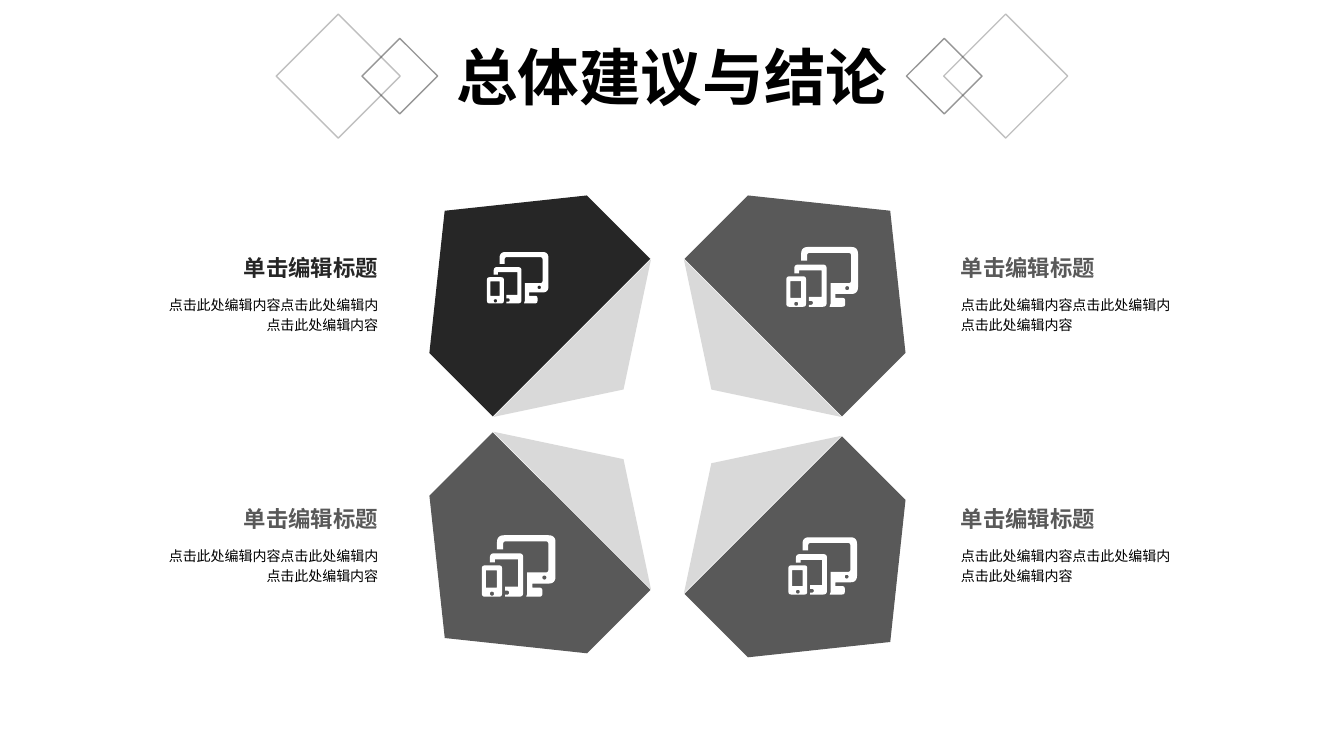
import pptx
import pptx.util
from lxml import etree
from pptx.dml.color import RGBColor
from pptx.enum.shapes import MSO_SHAPE
from pptx.enum.text import MSO_ANCHOR, PP_ALIGN
from pptx.oxml.ns import qn
from pptx.util import Inches

COLORS = {"black": "000000", "dark": "262626", "gray": "595959",
          "light": "D9D9D9", "white": "FFFFFF", "outline": "1C1C1C"}
CJK_FONT = "Noto Sans CJK SC"
HEADING = "单击编辑标题"
BODY = "点击此处编辑内容点击此处编辑内\n点击此处编辑内容"

# Device icon: closed outlines of (x, y, corner radius) in hundredths of an inch
ICON_WIDTH = 73
ICON_OUTLINES = [
    [(8, 56, 2), (12, 56, 2), (12, 60, 2), (8, 60, 2)],
    [(60, 40, 2), (64, 40, 2), (64, 44, 2), (60, 44, 2)],
    [(4, 35, 0), (15, 35, 0), (15, 52, 0), (4, 52, 0)],
    [(0, 30, 3), (20, 30, 3), (20, 61, 3), (0, 61, 3)],
    [(8, 18, 4), (41, 18, 4), (41, 61, 4), (23, 61, 0), (23, 59, 0), (27, 59, 2),
     (27, 55, 2), (23, 55, 0), (23, 51, 0), (36, 51, 0), (36, 24, 0), (13, 24, 0),
     (13, 27, 0), (8, 27, 0)],
    [(15, 0, 7), (73, 0, 7), (73, 48, 7), (50, 48, 0), (50, 52, 0), (60, 52, 3),
     (60, 61, 3), (44, 61, 0), (45, 58, 0), (45, 37, 0), (66, 37, 3), (66, 6, 3),
     (21, 6, 3), (21, 14, 0), (15, 14, 0)],
]


def color(name):
    return RGBColor.from_string(COLORS[name])


def paint(shape, fill):
    shape.shadow.inherit = False
    shape.fill.solid()
    shape.fill.fore_color.rgb = color(fill)
    shape.line.fill.background()


def add_centred(page, kind, center_x, center_y, width, height):
    return page.shapes.add_shape(kind, Inches(center_x - width / 2), Inches(center_y - height / 2),
                                 Inches(width), Inches(height))


def add_text(page, box, text, size, font, ink, bold=False, align=PP_ALIGN.LEFT):
    left, top, width, height = map(Inches, box)
    shape = page.shapes.add_textbox(left, top, width, height)
    shape.text_frame.word_wrap = True
    para = shape.text_frame.paragraphs[0]
    para.text = text
    para.alignment = align
    for span in para.runs:
        span.font.size = pptx.util.Pt(size)
        span.font.name = font
        span.font.bold = bold
        span.font.color.rgb = color(ink)
        east_asian = etree.SubElement(span.font._element, qn("a:ea"))
        east_asian.set("typeface", CJK_FONT)
    return shape.text_frame


def add_header(page, left, top, width, height):
    """Title between two mirrored pairs of overlapping diamonds."""
    middle_x, middle_y = left + width / 2, top + height / 2
    for side in (-1, 1):
        for offset, size, opacity in ((3.31, 1.23, 27), (2.7, 0.75, 46)):
            diamond = add_centred(page, MSO_SHAPE.DIAMOND, middle_x + side * offset, middle_y,
                                  size, size)
            diamond.shadow.inherit = False
            diamond.fill.background()
            diamond.line.color.rgb = color("outline")
            diamond.line.width = pptx.util.Pt(1)
            tint = diamond.line._ln.find(".//" + qn("a:srgbClr"))
            etree.SubElement(tint, qn("a:alpha")).set("val", str(opacity * 1000))
    add_text(page, (middle_x - 2.37, middle_y - 0.42, 4.74, 0.84), "总体建议与结论", 44, CJK_FONT,
             "black", True, PP_ALIGN.CENTER)


def rounded(outline):
    """Points of an outline whose corners are rounded by quadratic curves."""
    points = []
    for index, (x, y, radius) in enumerate(outline):
        if not radius:
            points.append((x, y))
            continue
        ends = []
        for next_x, next_y, _ in (outline[index - 1], outline[(index + 1) % len(outline)]):
            share = radius / max(abs(next_x - x), abs(next_y - y))
            ends.append((x + (next_x - x) * share, y + (next_y - y) * share))
        (start_x, start_y), (end_x, end_y) = ends
        for step in range(7):
            t = step / 6
            points.append(((1 - t) ** 2 * start_x + 2 * t * (1 - t) * x + t * t * end_x,
                           (1 - t) ** 2 * start_y + 2 * t * (1 - t) * y + t * t * end_y))
    return [(x * 100, y * 100) for x, y in points]


def add_device_icon(page, left, top, width):
    builder = None
    for outline in ICON_OUTLINES:
        first, *rest = rounded(outline)
        if builder is None:
            builder = page.shapes.build_freeform(*first, scale=Inches(width) / (ICON_WIDTH * 100))
        else:
            builder.move_to(*first)
        builder.add_line_segments(rest, close=True)
    paint(builder.convert_to_shape(Inches(left), Inches(top)), "white")


def add_petal(page, center_x, center_y, side_x, side_y, fill):
    """Folded pentagon pointing away from the middle; side_x and side_y are -1 or 1."""
    outward = {(-1, -1): 225, (1, -1): 315, (-1, 1): 135, (1, 1): 45}[side_x, side_y]
    fold = add_centred(page, MSO_SHAPE.ISOSCELES_TRIANGLE, center_x - side_x * 0.89,
                       center_y - side_y * 0.89, 2.21, 0.72)
    fold.rotation = (outward + 270) % 360
    paint(fold, "light")
    pentagon = add_centred(page, MSO_SHAPE.PENTAGON, center_x, center_y, 1.78, 2.21)
    pentagon.rotation = outward
    paint(pentagon, fill)


def add_caption(page, left, top, width, align, ink):
    heading = add_text(page, (left, top, width, 0.27), HEADING, 16, "Arial", ink, True, align)
    heading.word_wrap = False
    body = add_text(page, (left, top + 0.27, width, 0.64), BODY, 10, "Arial", "black", False, align)
    body.vertical_anchor = MSO_ANCHOR.MIDDLE
    body.paragraphs[0].line_spacing = 1.2
    for frame in (heading, body):
        frame.margin_left = frame.margin_right = Inches(0.08)
        frame.margin_top = frame.margin_bottom = 0


def main():
    deck = pptx.Presentation()
    deck.slide_width, deck.slide_height = Inches(13.33), Inches(7.5)
    page = deck.slides.add_slide(deck.slide_layouts[6])
    add_header(page, 2.75, 0.14, 7.83, 1.23)
    # side_x, side_y, petal centre y, fill, icon left, top and width
    petals = [(-1, -1, 2.72, "dark", 4.83, 2.5, 0.61),
              (1, -1, 2.72, "gray", 7.8, 2.45, 0.71),
              (-1, 1, 5.7, "gray", 4.78, 5.31, 0.73),
              (1, 1, 5.74, "gray", 7.82, 5.33, 0.68)]
    for side_x, side_y, center_y, fill, *icon in petals:
        add_petal(page, 6.62 + side_x * 1.58, center_y, side_x, side_y, fill)
        left, width, align = ((1.2, 2.63, PP_ALIGN.RIGHT) if side_x < 0
                              else (9.45, 2.69, PP_ALIGN.LEFT))
        add_caption(page, left, 2.52 if side_y < 0 else 5.01, width, align, fill)
        add_device_icon(page, *icon)
    deck.save("out.pptx")


if __name__ == "__main__":
    main()
